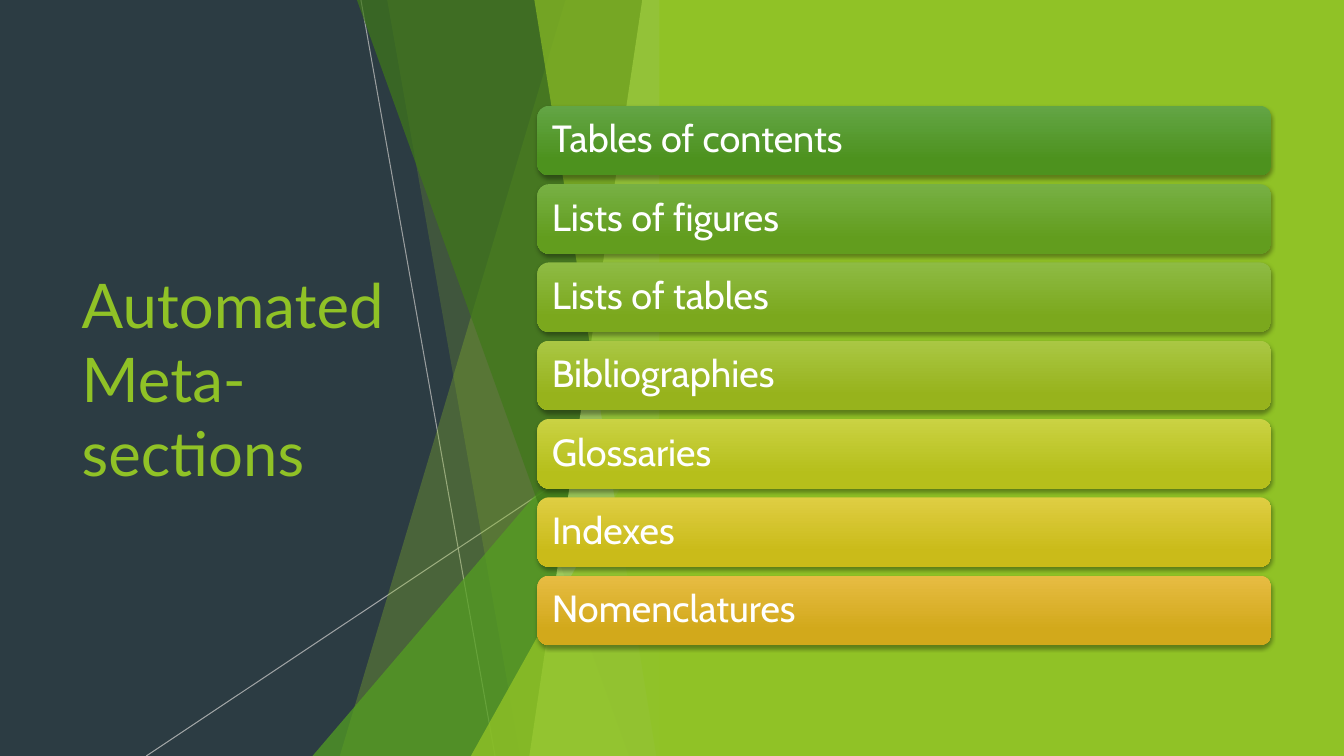
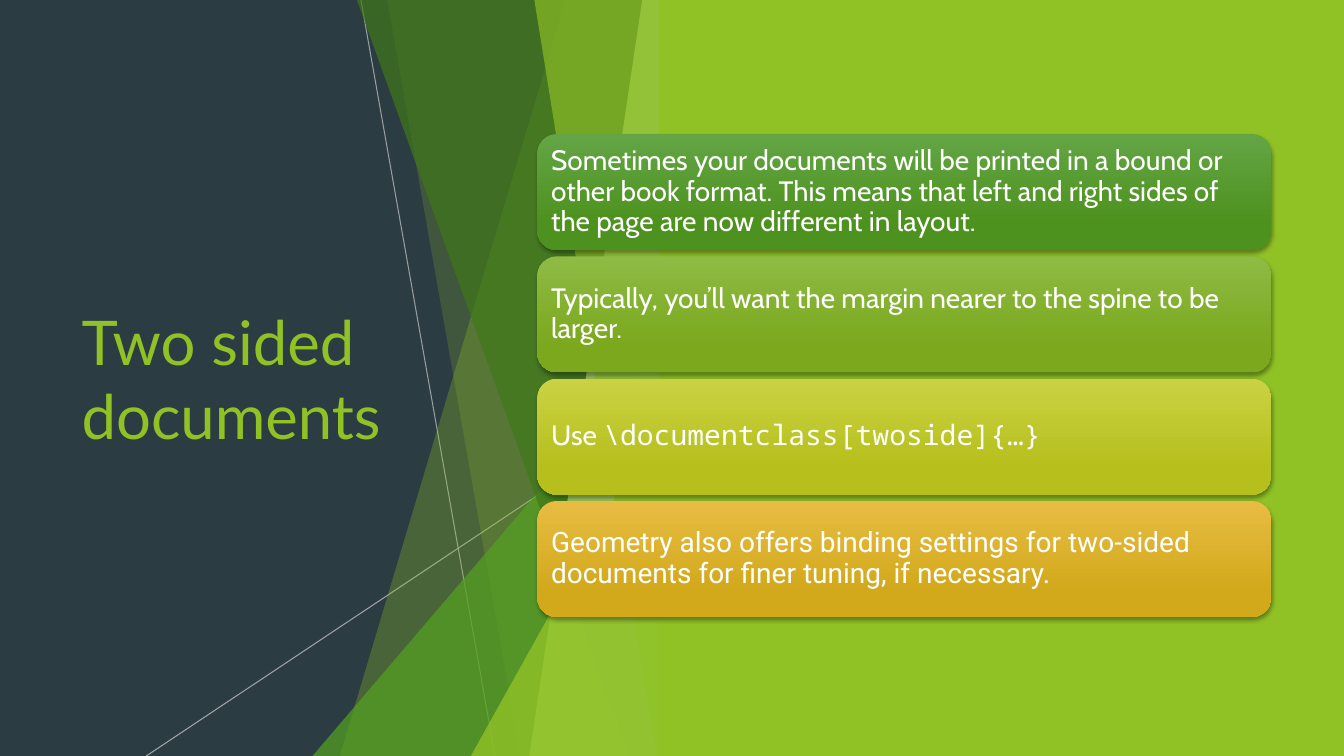
from lxml.etree import SubElement
from pptx import Presentation
from pptx.dml.color import RGBColor
from pptx.enum.shapes import MSO_CONNECTOR as Connector, MSO_SHAPE as Shape
from pptx.enum.text import MSO_ANCHOR as Anchor, MSO_AUTO_SIZE as AutoSize, PP_ALIGN as Align
from pptx.oxml.ns import qn
from pptx.util import Inches, Pt

PAGE_WIDTH, PAGE_HEIGHT = 13.33, 7.5
TITLE_BOX = (0.71, 1.51, 3.88, 4.48)
FACET_BOX = (1.45, 0, 5.21, PAGE_HEIGHT)
PANEL_BOX = (6.54, 0, 6.79, PAGE_HEIGHT)
TITLE_FONT, BODY_FONT, CODE_FONT, ALTERNATE_FONT = "Lato", "Cabin", "Noto Sans Mono", "Roboto"

COLORS = {
    "slate": "2C3C43",
    "green": "90C226",
    "leaf": "54A021",
    "forest": "3F7819",
    "pale": "C0E474",
    "silver": "BFBFBF",
    "white": "FFFFFF",
    "black": "000000",
}
# Card gradients, top and bottom colour, from green to amber
CARD_GRADIENTS = [
    ("63A545", "4D921E"),
    ("77B044", "629D1E"),
    ("8EBB44", "7BA81D"),
    ("AAC744", "97B31C"),
    ("CAD243", "B6BF1B"),
    ("DFCE43", "CABB19"),
    ("E7BC43", "D2A91B"),
]
# Facets: colour, opacity, then distances of the top and bottom corners from the right edge;
# triangles: colour, opacity, then width and height
FACETS = [
    ("facet", "green", 30, 1.05, 3.29),
    ("facet", "green", 20, 2.82, 1.5),
    ("triangle", "leaf", 72, 3.56, 4.17),
    ("facet", "forest", 70, 3.12, 0.42),
    ("facet", "pale", 70, 0.29, 1.41),
    ("facet", "green", 65, 1.36, 0.15),
    ("triangle", "green", 80, 1.99, 3.57),
]


def rgb(color):
    return RGBColor.from_string(COLORS.get(color, color))


def set_opacity(shape, percent):
    color = next(shape.element.spPr.iter(qn("a:srgbClr")))
    SubElement(color, qn("a:alpha"), val=str(percent * 1000))


def fill_plain(shape, color, opacity=100):
    shape.shadow.inherit = False
    shape.fill.solid()
    shape.fill.fore_color.rgb = rgb(color)
    shape.line.fill.background()
    if opacity < 100:
        set_opacity(shape, opacity)


def add_text(para, text, *, font=BODY_FONT, size=20, color="white"):
    span = para.add_run()
    span.text = text
    span.font.name = font
    span.font.size = Pt(size)
    span.font.color.rgb = rgb(color)


def add_thin_line(page, start, end, opacity):
    line = page.shapes.add_connector(Connector.STRAIGHT, *map(Inches, start + end))
    line.line.color.rgb = rgb("silver")
    line.line.width = Pt(0.75)
    set_opacity(line, opacity)
    SubElement(line.element.spPr, qn("a:effectLst"))


def add_facets(page, box):
    """Draw the translucent facets against the right edge of the box."""
    left, top, width, height = box
    right, bottom = left + width, top + height
    add_thin_line(page, (right - 3.08, top), (right - 1.75, bottom), 75)
    add_thin_line(page, (right, top + 4.03), (left, bottom), 80)
    for kind, color, opacity, first, second in FACETS:
        if kind == "triangle":
            place = (right - first, bottom - second, first, second)
            shape = page.shapes.add_shape(Shape.ISOSCELES_TRIANGLE, *map(Inches, place))
            shape.adjustments[0] = 1
        else:
            corners = [(right - first, top), (right, top), (right, bottom), (right - second, bottom)]
            points = [(Inches(x), Inches(y)) for x, y in corners]
            outline = page.shapes.build_freeform(*points[0])
            outline.add_line_segments(points[1:], close=True)
            shape = outline.convert_to_shape()
        fill_plain(shape, color, opacity)


def add_panel(page, box):
    fill_plain(page.shapes.add_shape(Shape.RECTANGLE, *map(Inches, box)), "green")


def add_title(page, text, box):
    title = page.shapes.title
    title.left, title.top, title.width, title.height = map(Inches, box)
    frame = title.text_frame
    frame.word_wrap = True
    frame.auto_size = AutoSize.NONE
    frame.vertical_anchor = Anchor.MIDDLE
    para = frame.paragraphs[0]
    para.alignment = Align.LEFT
    add_text(para, text, font=TITLE_FONT, size=44, color="green")


def style_card(card, gradient):
    card.fill.gradient()
    card.fill.gradient_angle = 270
    for stop, color, position in zip(card.fill.gradient_stops, gradient, (0, 0.78)):
        stop.color.rgb = rgb(color)
        stop.position = position
    card.line.fill.background()
    # Soft shadow below the card
    card.shadow.inherit = False
    effects = card.element.spPr.find(qn("a:effectLst"))
    shadow = SubElement(effects, qn("a:outerShdw"), blurRad=str(Pt(3)), dist=str(Pt(2)),
                        dir="5400000", algn="ctr", rotWithShape="0")
    color = SubElement(shadow, qn("a:srgbClr"), val=COLORS["black"])
    SubElement(color, qn("a:alpha"), val="35000")


def add_cards(page, cards, gradients, box, *, card_height, size, inset):
    """Stack the cards in the box with equal gaps; a card is a list of (text, font)."""
    left, top, width, height = box
    pitch = (height - card_height) / (len(cards) - 1)
    for index, (spans, gradient) in enumerate(zip(cards, gradients)):
        place = (left, top + index * pitch, width, card_height)
        card = page.shapes.add_shape(Shape.ROUNDED_RECTANGLE, *map(Inches, place))
        style_card(card, gradient)
        frame = card.text_frame
        frame.word_wrap = True
        frame.vertical_anchor = Anchor.MIDDLE
        frame.margin_left = frame.margin_right = Inches(inset)
        frame.margin_top = frame.margin_bottom = Inches(inset)
        para = frame.paragraphs[0]
        para.alignment = Align.LEFT
        para.line_spacing = 0.9
        for text, font in spans:
            add_text(para, text, font=font, size=size)


def add_page(deck, title):
    page = deck.slides.add_slide(deck.slide_layouts.get_by_name("Title Only"))
    add_title(page, title, TITLE_BOX)
    add_facets(page, FACET_BOX)
    add_panel(page, PANEL_BOX)
    return page


def add_sections_page(deck):
    page = add_page(deck, "Automated Meta-sections")
    names = ["Tables of contents", "Lists of figures", "Lists of tables", "Bibliographies",
             "Glossaries", "Indexes", "Nomenclatures"]
    add_cards(page, [[(name, BODY_FONT)] for name in names], CARD_GRADIENTS,
              (5.33, 1.05, 7.28, 5.35), card_height=0.69, size=27, inset=0.11)


def add_two_sided_page(deck):
    page = add_page(deck, "Two sided documents")
    cards = [
        [("Sometimes your documents will be printed in a bound or other book format. "
          "This means that left and right sides of the page are now different in layout.", BODY_FONT)],
        [("Typically, you’ll want the margin nearer to the spine to be larger.", BODY_FONT)],
        [("Use ", BODY_FONT), ("\\documentclass[twoside]{…}", CODE_FONT)],
        [("Geometry also offers binding settings for two-sided documents "
          "for finer tuning, if necessary.", ALTERNATE_FONT)],
    ]
    add_cards(page, cards, CARD_GRADIENTS[::2],
              (5.33, 1.33, 7.28, 4.79), card_height=1.15, size=20, inset=0.08)


def main():
    deck = Presentation()
    deck.slide_width, deck.slide_height = Inches(PAGE_WIDTH), Inches(PAGE_HEIGHT)
    background = deck.slide_master.background.fill
    background.solid()
    background.fore_color.rgb = rgb("slate")
    add_sections_page(deck)
    add_two_sided_page(deck)
    deck.save("out.pptx")


if __name__ == "__main__":
    main()
